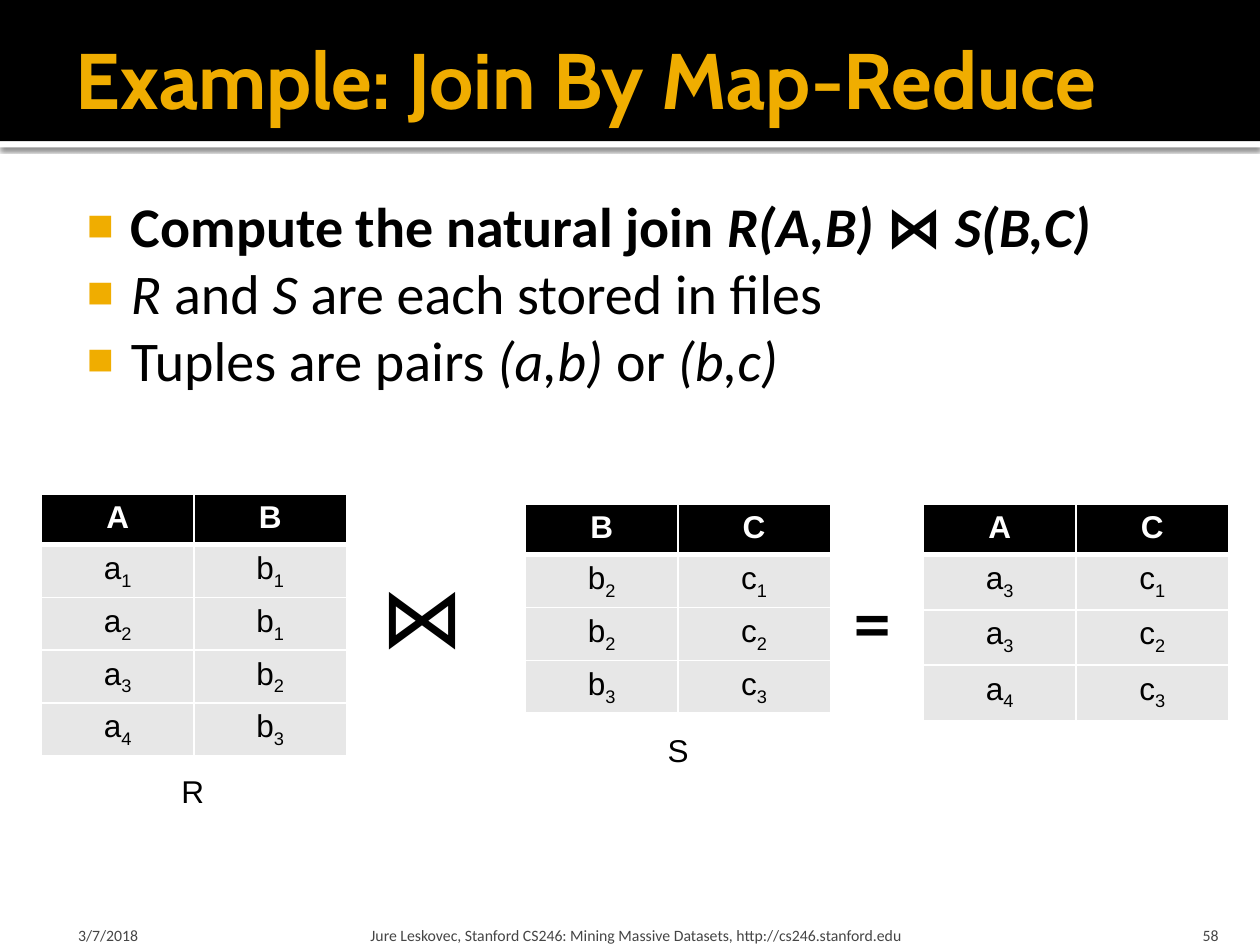
from lxml.etree import SubElement as Sub
from pptx import Presentation
from pptx.dml.color import RGBColor
from pptx.enum.shapes import MSO_SHAPE as Shape
from pptx.enum.text import MSO_ANCHOR as Anchor, MSO_AUTO_SIZE as Fit, PP_ALIGN as Align
from pptx.oxml import parse_xml
from pptx.oxml.ns import nsdecls, qn
from pptx.util import Inches, Pt

GOLD, BLACK, WHITE, GRAY, PALE = "F0AD00", "000000", "FFFFFF", "454545", "E7E7E7"


def hue(code):
    """Turn a hex string into a colour."""
    return RGBColor.from_string(code)


def write(par, text, size=18, font="Arial", color=BLACK, bold=False, ital=False, sub=False):
    """Add one formatted run to a paragraph."""
    run = par.add_run()
    run.text = text
    face = run.font
    face.size, face.name, face.bold, face.italic = Pt(size), font, bold, ital
    face.color.rgb = hue(color)
    if sub:
        run._r.get_or_add_rPr().set("baseline", "-25000")


def frame(shape, pad, anchor=Anchor.TOP, wrap=True):
    """Set the insets, anchor and wrap of a shape's text."""
    area = shape.text_frame
    area.auto_size, area.word_wrap, area.vertical_anchor = Fit.NONE, wrap, anchor
    area.margin_left, area.margin_top, area.margin_right, area.margin_bottom = map(Inches, pad)
    return area


def label(slide, box, text, pad=(0.1, 0.05, 0.1, 0.05), anchor=Anchor.TOP,
          align=Align.LEFT, wrap=False, **style):
    """Place one line of text in a box."""
    area = frame(slide.shapes.add_textbox(*map(Inches, box)), pad, anchor, wrap)
    par = area.paragraphs[0]
    par.alignment = align
    write(par, text, **style)


def band(slide, box, color):
    """Draw a plain filled bar."""
    bar = slide.shapes.add_shape(Shape.RECTANGLE, *map(Inches, box))
    bar.shadow.inherit = False
    bar.fill.solid()
    bar.fill.fore_color.rgb = hue(color)
    bar.line.fill.background()
    return bar


def header(slide, box, text):
    """Build the black header, its shaded rule and the title."""
    left, top, width, height = box
    rule = band(slide, (left, top + height, width, 0.05), WHITE)
    glow = Sub(rule._element.spPr.find(qn("a:effectLst")), qn("a:outerShdw"),
               blurRad=str(Pt(2.5)), dist=str(Pt(0.8)), dir="5400000", rotWithShape="0")
    ink = Sub(glow, qn("a:srgbClr"), val=BLACK)
    Sub(ink, qn("a:alpha"), val="60000")
    band(slide, box, BLACK)
    title = slide.shapes.title
    title.left, title.top = Inches(left + 0.5), Inches(top + 0.08)
    title.width, title.height = Inches(width - 1), Inches(1.08)
    par = frame(title, (0.1, 0.05, 0.05, 0.05), Anchor.MIDDLE).paragraphs[0]
    par.alignment = Align.LEFT
    write(par, text, size=45, font="Cabin", color=GOLD, bold=True)
    title._element.getparent().append(title._element)


def points(slide, box, lines):
    """List points whose parts switch between upright and italic."""
    area = frame(slide.shapes.add_textbox(*map(Inches, box)), (0.06, 0.1, 0.1, 0.05))
    for num, parts in enumerate(lines):
        par = area.add_paragraph() if num else area.paragraphs[0]
        props = par._p.get_or_add_pPr()
        props.set("marL", str(Inches(0.48)))
        props.set("indent", str(Inches(-0.35)))
        Sub(Sub(props, qn("a:buClr")), qn("a:srgbClr"), val=GOLD)
        Sub(props, qn("a:buSzPct"), val="80000")
        Sub(props, qn("a:buFont"), typeface="Arial")
        Sub(props, qn("a:buChar"), char="■")
        for spot, part in enumerate(parts):
            if part:
                write(par, part, size=32, font="Calibri", bold=num == 0, ital=spot % 2 == 1)


def edge(cell, top, base):
    """Give a cell white borders of the widths given."""
    props = cell._tc.get_or_add_tcPr()
    for spot, (side, width) in enumerate(zip("LRTB", (1, 1, top, base))):
        line = parse_xml(f'<a:ln{side} {nsdecls("a")} w="{Pt(width)}"><a:solidFill>'
                         f'<a:srgbClr val="{WHITE}"/></a:solidFill></a:ln{side}>')
        props.insert(spot, line)


def grid(slide, box, heads, rows):
    """Build a table of terms, each a letter with a lowered digit."""
    left, top, width, step = box
    data = [heads.split()] + [row.split() for row in rows]
    size = (left, top, width, 0.4 + step * len(rows))
    table = slide.shapes.add_table(len(data), 2, *map(Inches, size)).table
    table.horz_banding = False
    for col in table.columns:
        col.width = Inches(width / 2)
    for num, row in enumerate(data):
        table.rows[num].height = Inches(step if num else 0.4)
        for spot, term in enumerate(row):
            cell = table.cell(num, spot)
            cell.fill.solid()
            cell.fill.fore_color.rgb = hue(PALE if num else BLACK)
            edge(cell, 3 if num == 1 else 1, 1 if num else 3)
            par = cell.text_frame.paragraphs[0]
            par.alignment = Align.CENTER
            if num:
                write(par, term[0])
                write(par, term[1:], sub=True)
            else:
                write(par, term, color=WHITE, bold=True)


def joins(slide, left, top):
    """Lay out the two tables, their join and their names."""
    grid(slide, (left, top, 2.42, 0.42), "A B", ["a1 b1", "a2 b1", "a3 b2", "a4 b3"])
    grid(slide, (left + 3.84, top + 0.08, 2.42, 0.42), "B C", ["b2 c1", "b2 c2", "b3 c3"])
    grid(slide, (left + 7, top + 0.08, 2.42, 0.44), "A C", ["a3 c1", "a3 c2", "a4 c3"])
    label(slide, (left + 2.59, top + 0.5, 0.76, 0.91), "⋈", size=48, font="Cabin")
    label(slide, (left + 6.33, top + 0.52, 0.55, 0.91), "=", size=48, font="Cabin")
    label(slide, (left + 1.01, top + 2.16, 0.38, 0.4), "R")
    label(slide, (left + 4.87, top + 1.83, 0.38, 0.4), "S")


def footer(slide, top, height):
    """Place the date, source and page number."""
    style = dict(size=9, font="Calibri", color=GRAY, anchor=Anchor.BOTTOM, wrap=True)
    label(slide, (0.5, top, 2.33, height), "3/7/2018", pad=(0.12, 0.05, 0.05, 0), **style)
    label(slide, (2.89, top, 6.02, height),
          "Jure Leskovec, Stanford CS246: Mining Massive Datasets, http://cs246.stanford.edu",
          pad=(0.05, 0.05, 0.05, 0), **style)
    label(slide, (8.97, top, 0.8, height), "58", pad=(0.1, 0.05, 0.1, 0),
          align=Align.RIGHT, **style)


def main():
    """Build the slide and save it."""
    deck = Presentation()
    deck.slide_width, deck.slide_height = Inches(10), Inches(7.5)
    slide = deck.slides.add_slide(deck.slide_layouts[5])
    header(slide, (0, 0, 10, 1.12), "Example: Join By Map-Reduce")
    points(slide, (0.5, 1.42, 9, 2.33), [
        ("Compute the natural join ", "R(A,B) ", "⋈", " S(B,C)"),
        ("", "R", " and ", "S", " are each stored in files"),
        ("Tuples are pairs ", "(a,b)", " or ", "(b,c)"),
    ])
    footer(slide, 7.2, 0.3)
    joins(slide, 0.33, 3.92)
    deck.save("out.pptx")


if __name__ == "__main__":
    main()
